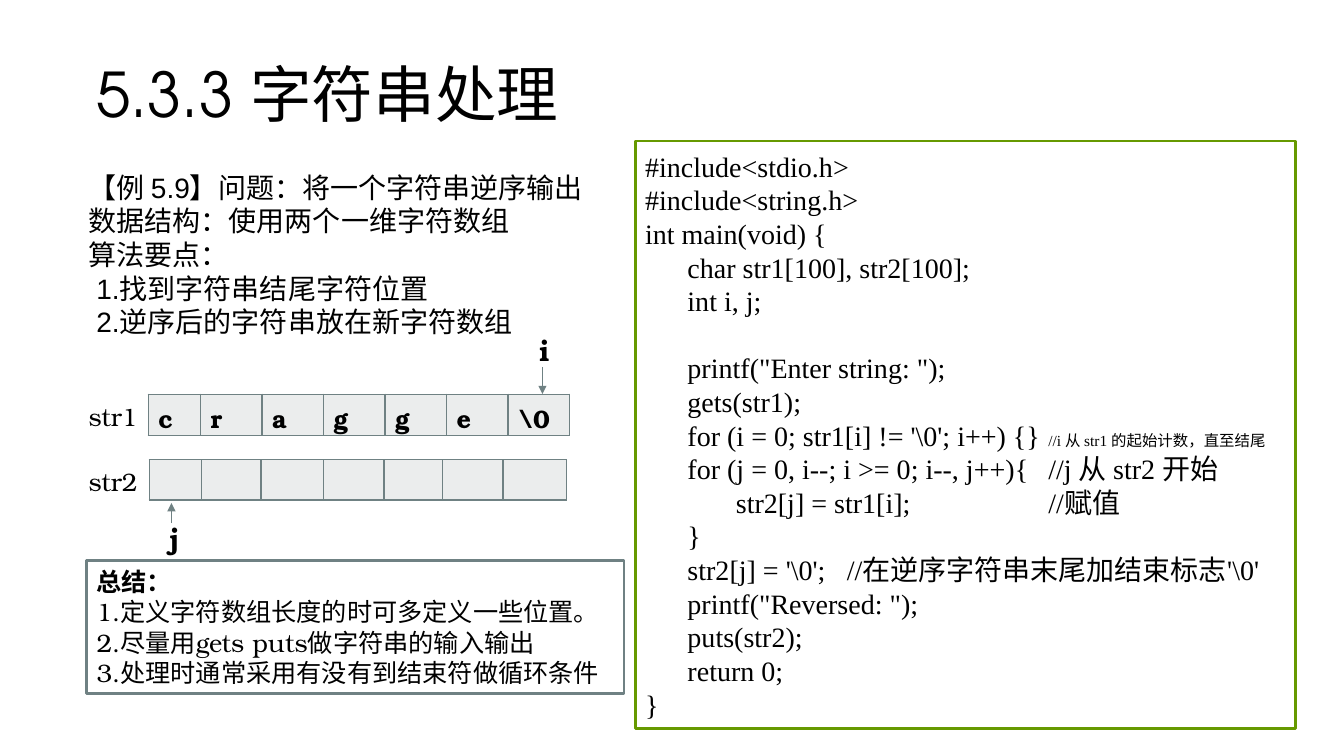
from lxml import etree
from pptx import Presentation
from pptx import util as u
from pptx.dml.color import RGBColor
from pptx.enum import shapes, text
from pptx.oxml import ns

PX = 9144  # one px is 0.01 inch
BLACK = RGBColor(0x00, 0x00, 0x00)
WHITE = RGBColor(0xFF, 0xFF, 0xFF)
GREEN = RGBColor(0x66, 0x99, 0x00)
SLATE = RGBColor(0x6F, 0x81, 0x83)
PALE = RGBColor(0xEB, 0xED, 0xED)

HEAD = {"name": "TeX Gyre Adventor", "size": u.Pt(44)}
BODY = {"name": "Arial", "size": u.Pt(20)}
CODE = {"name": "Times New Roman", "size": u.Pt(20)}
NOTE = {"name": "TeX Gyre Bonum", "size": u.Pt(18)}
BOLD = {**NOTE, "bold": True}
MARK = {**BOLD, "size": u.Pt(20)}
TINY = {**CODE, "size": u.Pt(11)}

STOPS = (42, 90, 200, 400)  # two indent levels, two comment columns
PLAIN = "{2D5ABB26-0587-4C30-8999-92F81FD0307C}"

TASK = [
    "【例 5.9】问题：将一个字符串逆序输出",
    "数据结构：使用两个一维字符数组",
    "算法要点：",
    " 1.找到字符串结尾字符位置",
    " 2.逆序后的字符串放在新字符数组",
]
SOURCE = [
    "#include<stdio.h>",
    "#include<string.h>",
    "int main(void) {",
    "\tchar str1[100], str2[100];",
    "\tint i, j;",
    "\tprintf(\"Enter string: \");",
    "\tgets(str1);",
    [("\tfor (i = 0; str1[i] != '\\0'; i++) {}\t", CODE),
     ("//i 从 str1 的起始计数，直至结尾", TINY)],
    "\tfor (j = 0, i--; i >= 0; i--, j++){\t//j 从 str2 开始",
    "\t\tstr2[j] = str1[i];\t//赋值",
    "\t}",
    "\tstr2[j] = '\\0';\t//在逆序字符串末尾加结束标志'\\0'",
    "\tprintf(\"Reversed: \");",
    "\tputs(str2);",
    "\treturn 0;",
    "}",
]
SUMMARY = [
    [("总结：", BOLD)],
    "1.定义字符数组长度的时可多定义一些位置。",
    "2.尽量用gets puts做字符串的输入输出",
    "3.处理时通常采用有没有到结束符做循环条件",
]


def emu(*vals):
    return [v * PX for v in vals]


def node(base, tag, **attrs):
    return etree.SubElement(base, ns.qn(tag), attrs)


def write(frame, lines, style):
    """Fill a text frame; a line is a string or a list of styled runs."""
    for n, line in enumerate(lines):
        para = frame.paragraphs[0] if n == 0 else frame.add_paragraph()
        para.alignment = text.PP_ALIGN.LEFT
        for words, fmt in [(line, style)] if isinstance(line, str) else line:
            run = para.add_run()
            run.text = words
            run.font.color.rgb = BLACK
            for key, val in fmt.items():
                setattr(run.font, key, val)
    return frame


def label(slide, box, lines, style, wrap=True, anchor=text.MSO_ANCHOR.TOP):
    frame = slide.shapes.add_textbox(*emu(*box)).text_frame
    frame.word_wrap = wrap
    frame.vertical_anchor = anchor
    return write(frame, lines, style)


def panel(slide, box, lines, style, color):
    shape = slide.shapes.add_shape(shapes.MSO_SHAPE.RECTANGLE, *emu(*box))
    shape.shadow.inherit = False
    shape.fill.solid()
    shape.fill.fore_color.rgb = WHITE
    shape.line.color.rgb = color
    shape.line.width = u.Pt(2)
    shape.text_frame.word_wrap = True
    shape.text_frame.vertical_anchor = text.MSO_ANCHOR.MIDDLE
    return write(shape.text_frame, lines, style)


def border(cell, sides):
    props = cell._tc.get_or_add_tcPr()
    for n, side in enumerate(sides):
        edge = etree.Element(ns.qn("a:ln" + side), w=str(u.Pt(1)))
        node(node(edge, "a:solidFill"), "a:srgbClr", val=str(SLATE))
        props.insert(n, edge)


def strip(slide, top, high, widths, name, chars):
    """Draw an array as a name cell followed by its boxes."""
    frame = slide.shapes.add_table(
        1, len(widths), *emu(78, top, sum(widths), high))
    table = frame.table
    table.first_row = table.horz_banding = False
    table._tbl.tblPr.find(ns.qn("a:tableStyleId")).text = PLAIN
    for n, wide in enumerate(widths):
        table.columns[n].width = wide * PX
        cell = table.cell(0, n)
        if n == 0:
            write(cell.text_frame, [name], NOTE)
            cell.fill.background()
            border(cell, "R")
            continue
        if chars:
            write(cell.text_frame, [chars[n - 1]], BOLD)
        cell.fill.solid()
        cell.fill.fore_color.rgb = PALE
        border(cell, "LRTB")


def arrow(slide, x, start, end):
    link = slide.shapes.add_connector(
        shapes.MSO_CONNECTOR.STRAIGHT, *emu(x, start, x, end))
    link.line.color.rgb = SLATE
    link.line.width = u.Pt(0.5)
    node(link.line._get_or_add_ln(), "a:tailEnd", type="triangle")
    node(link._element.spPr, "a:effectLst")


def main():
    deck = Presentation()
    deck.slide_width, deck.slide_height = emu(1333, 750)
    slide = deck.slides.add_slide(deck.slide_layouts[6])

    # Title and problem
    title = label(slide, (86, 59, 911, 92), ["5.3.3 字符串处理"], HEAD)
    title.paragraphs[0].line_spacing = 0.9
    label(slide, (78, 164, 525, 178), TASK, BODY, wrap=False)

    # Program, with a gap after the declarations
    code = panel(slide, (630, 140, 655, 583), SOURCE, CODE, GREEN)
    code.paragraphs[5].space_before = u.Pt(24)
    for para in code.paragraphs:
        tabs = node(para._p.get_or_add_pPr(), "a:tabLst")
        for stop in STOPS:
            node(tabs, "a:tab", pos=str(stop * PX), algn="l")

    # Arrays
    strip(slide, 391, 41, [69, 52] + [61] * 6, "str1",
          ["c", "r", "a", "g", "g", "e", "\\0"])
    strip(slide, 456, 40, [70, 52, 59, 62, 60, 58, 60, 63], "str2", [])

    # Index pointers
    arrow(slide, 538, 364, 391)
    arrow(slide, 170, 519, 499)
    for name, x, y in (("i", 525, 326), ("j", 158, 512)):
        label(slide, (x, y, 25, 44), [name], MARK,
              anchor=text.MSO_ANCHOR.MIDDLE)

    # Summary
    panel(slide, (86, 556, 533, 132), SUMMARY, NOTE, SLATE)
    deck.save("out.pptx")


if __name__ == "__main__":
    main()
